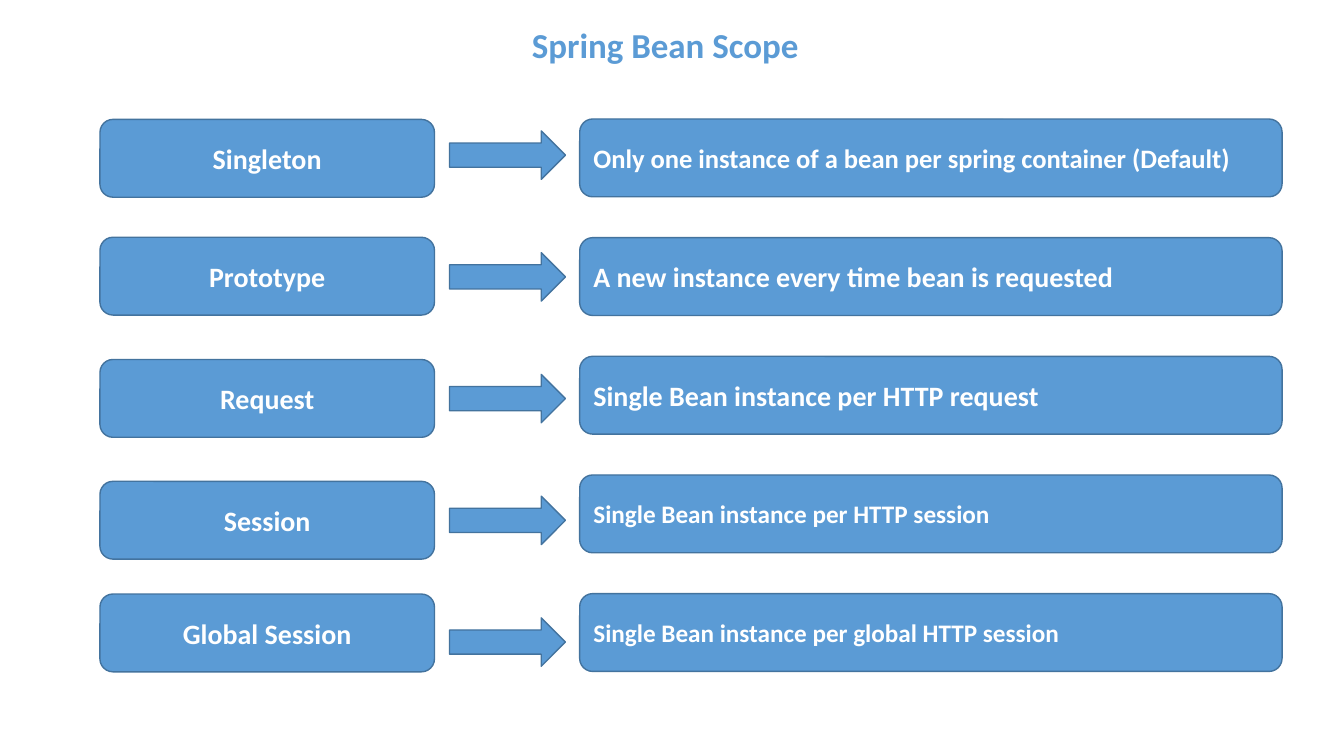
from dataclasses import dataclass

from pptx import Presentation
from pptx.dml.color import RGBColor
from pptx.enum.shapes import MSO_SHAPE
from pptx.enum.text import MSO_ANCHOR, PP_ALIGN
from pptx.util import Cm, Pt

ROUND, ARROW = MSO_SHAPE.ROUNDED_RECTANGLE, MSO_SHAPE.RIGHT_ARROW
LEFT, CENTER = PP_ALIGN.LEFT, PP_ALIGN.CENTER
MIDDLE = MSO_ANCHOR.MIDDLE


@dataclass(frozen=True)
class Theme:
    font: str = "Calibri"
    blue: RGBColor = RGBColor(0x5B, 0x9B, 0xD5)
    edge: RGBColor = RGBColor(0x43, 0x73, 0x9E)
    white: RGBColor = RGBColor(0xFF, 0xFF, 0xFF)
    title: int = 25
    label: int = 20
    long: int = 19
    small: int = 18
    line: int = 1


@dataclass(frozen=True)
class Box:
    x: float
    y: float
    w: float
    h: float

    def spot(self):
        return Cm(self.x), Cm(self.y), Cm(self.w), Cm(self.h)


THEME = Theme()

# Scope, its offset from the top of the rows, meaning, type size of the meaning
SCOPES = [
    ("Singleton", 0, "Only one instance of a bean per spring container (Default)", THEME.long),
    ("Prototype", 2.97, "A new instance every time bean is requested", THEME.label),
    ("Request", 6.05, "Single Bean instance per HTTP request", THEME.label),
    ("Session", 9.12, "Single Bean instance per HTTP session", THEME.small),
    ("Global Session", 11.96, "Single Bean instance per global HTTP session", THEME.small),
]


def write(shape, text, size, color, align):
    frame = shape.text_frame
    frame.word_wrap = True
    frame.vertical_anchor = MIDDLE
    para = frame.paragraphs[0]
    para.alignment = align
    run = para.add_run()
    run.text = text
    font = run.font
    font.name, font.size, font.bold = THEME.font, Pt(size), True
    font.color.rgb = color
    return para


def block(slide, kind, box):
    shape = slide.shapes.add_shape(kind, *box.spot())
    shape.shadow.inherit = False
    shape.fill.solid()
    shape.fill.fore_color.rgb = THEME.blue
    shape.line.color.rgb = THEME.edge
    shape.line.width = Pt(THEME.line)
    return shape


def heading(slide, box, text):
    shape = slide.shapes.add_textbox(*box.spot())
    para = write(shape, text, THEME.title, THEME.blue, CENTER)
    para.line_spacing = 0.9


def names(slide, box, tall):
    for name, drop, _, _ in SCOPES:
        shape = block(slide, ROUND, Box(box.x, box.y + drop, box.w, tall))
        write(shape, name, THEME.label, THEME.white, CENTER)


def arrows(slide, box, tall):
    step = (box.h - tall) / (len(SCOPES) - 1)
    for row in range(len(SCOPES)):
        block(slide, ARROW, Box(box.x, box.y + row * step, box.w, tall))


def meanings(slide, box, tall):
    step = (box.h - tall) / (len(SCOPES) - 1)
    for row, (_, _, text, size) in enumerate(SCOPES):
        shape = block(slide, ROUND, Box(box.x, box.y + row * step, box.w, tall))
        write(shape, text, size, THEME.white, LEFT)


deck = Presentation()
deck.slide_width, deck.slide_height = Cm(33.87), Cm(19.05)
blank = deck.slide_layouts[6]
slide = deck.slides.add_slide(blank)

# Title
heading(slide, Box(2.16, -0.64, 29.21, 3.68), "Spring Bean Scope")

# Scope column, arrow column, meaning column
names(slide, Box(2.52, 3.01, 8.43, 13.92), 1.96)
arrows(slide, Box(11.33, 3.3, 2.92, 13.49), 1.22)
meanings(slide, Box(14.61, 3, 17.7, 13.92), 1.96)

deck.save("out.pptx")
